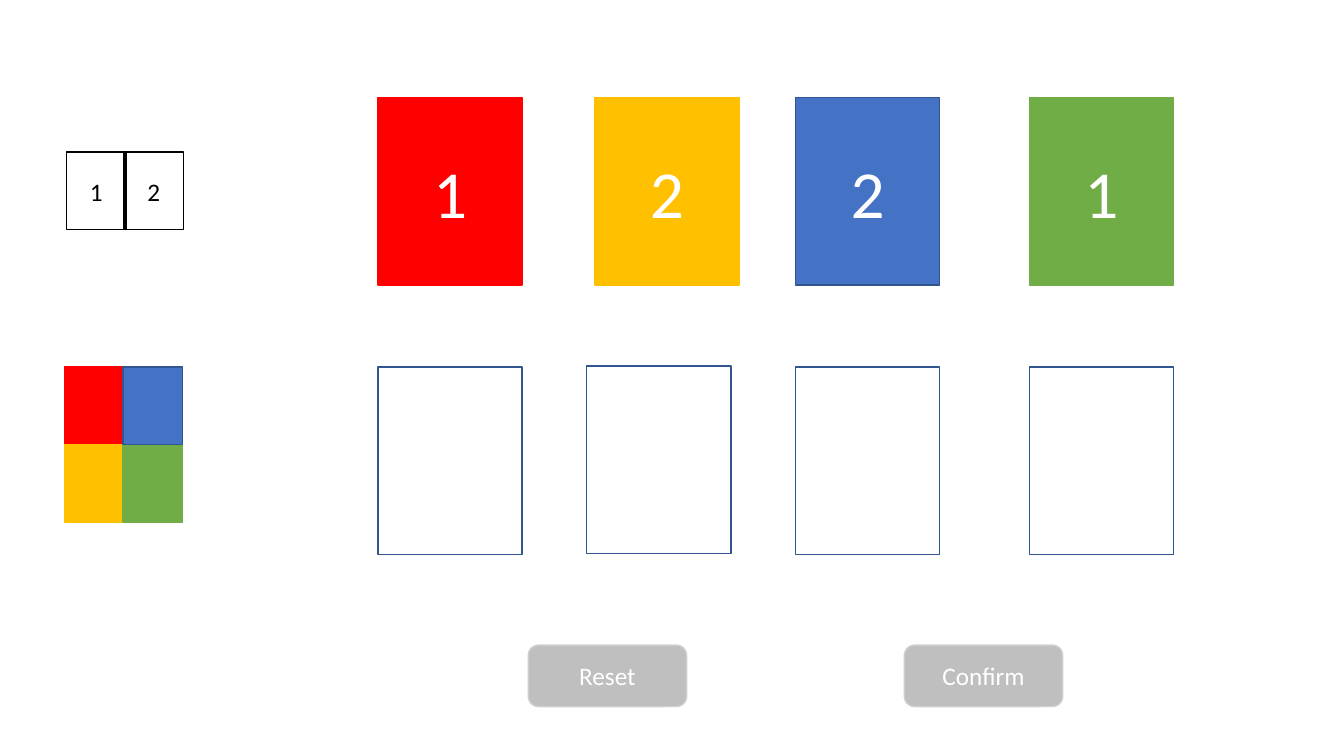
from pptx import Presentation
from pptx.dml.color import RGBColor
from pptx.enum.shapes import MSO_SHAPE
from pptx.enum.text import MSO_ANCHOR, PP_ALIGN
from pptx.util import Inches, Pt

THEME = {
    "red": "FF0000", "yellow": "FFC000", "blue": "4472C4", "green": "70AD47",
    "outline": "325491", "black": "000000", "white": "FFFFFF",
    "button": "BFBFBF", "button_line": "D0CECE",
    "font": "Calibri", "card_size": 48, "label_size": 18, "line_width": 1,
}


def add_box(slide, left, top, size, fill, line, text="", text_size="label_size",
            text_color="white", kind=MSO_SHAPE.RECTANGLE):
    sp = slide.shapes.add_shape(kind, Inches(left), Inches(top), *map(Inches, size))
    sp.shadow.inherit = False
    if fill:
        sp.fill.solid()
        sp.fill.fore_color.rgb = RGBColor.from_string(THEME[fill])
    else:
        sp.fill.background()
    sp.line.color.rgb = RGBColor.from_string(THEME[line])
    sp.line.width = Pt(THEME["line_width"])
    if text:
        tf = sp.text_frame
        tf.vertical_anchor = MSO_ANCHOR.MIDDLE
        p = tf.paragraphs[0]
        p.text = text
        p.alignment = PP_ALIGN.CENTER
        p.font.name = THEME["font"]
        p.font.size = Pt(THEME[text_size])
        p.font.color.rgb = RGBColor.from_string(THEME[text_color])


prs = Presentation()
prs.slide_width = Inches(13.33)
prs.slide_height = Inches(7.5)
s = prs.slides.add_slide(prs.slide_layouts[6])

card = (1.43, 1.86)
tile = (0.59, 0.77)
button = (1.57, 0.61)

for left, color, line, number in [
    (3.75, "red", "red", "1"),
    (5.9, "yellow", "yellow", "2"),
    (7.89, "blue", "outline", "2"),
    (10.21, "green", "green", "1"),
]:
    add_box(s, left, 0.97, card, color, line, number, "card_size")

for left, top in [(3.75, 3.64), (5.82, 3.63), (7.89, 3.64), (10.21, 3.64)]:
    add_box(s, left, top, card, None, "outline")

for left, label in [(8.97, "Confirm"), (5.24, "Reset")]:
    add_box(s, left, 6.4, button, "button", "button_line", label,
            kind=MSO_SHAPE.ROUNDED_RECTANGLE)

for col, row, color, line in [
    (0, 0, "red", "red"),
    (0, 1, "yellow", "yellow"),
    (1, 1, "green", "green"),
    (1, 0, "blue", "outline"),
]:
    add_box(s, 0.64 + col * 0.58, 3.64 + row * tile[1], tile, color, line)

for left, number in [(0.66, "1"), (1.23, "2")]:
    add_box(s, left, 1.51, tile, None, "black", number, text_color="black")

prs.save("out.pptx")
